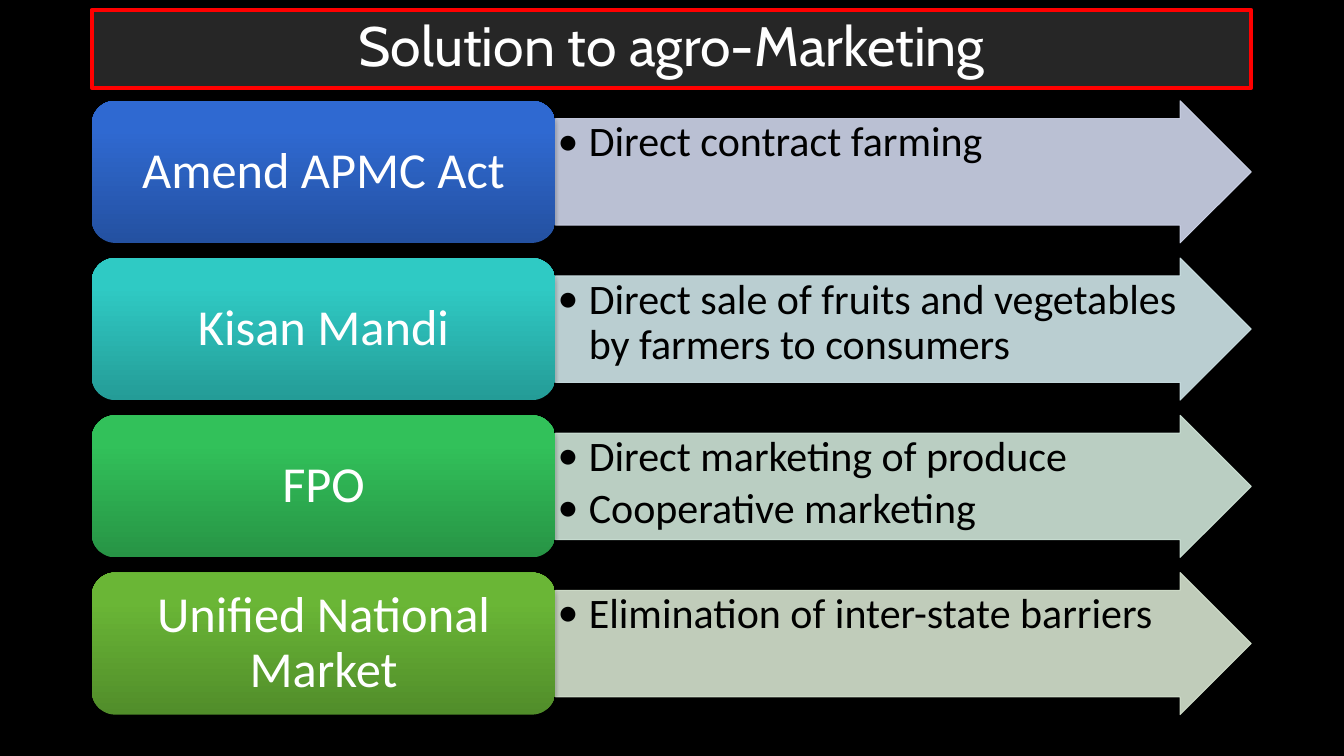
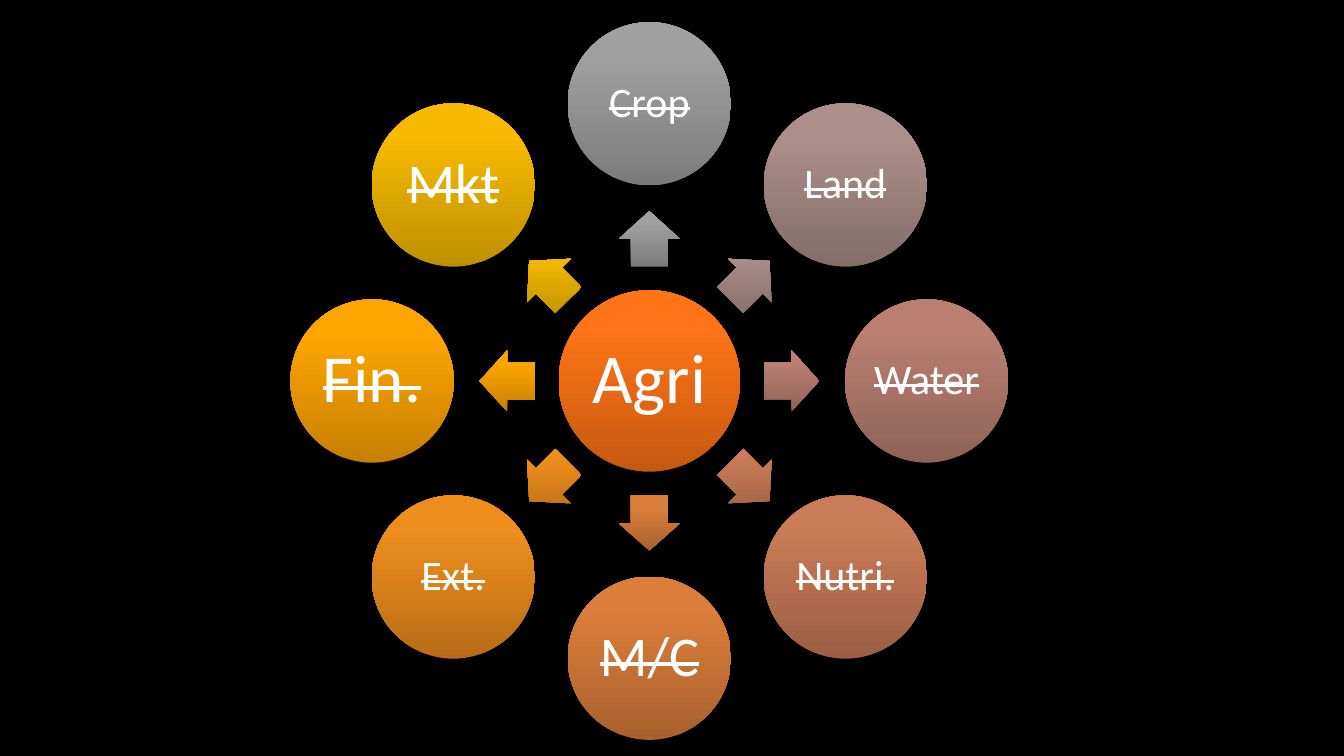
import math

import pptx
import pptx.dml.color
import pptx.enum.shapes
import pptx.enum.text
import pptx.oxml.ns
import pptx.util
from lxml import etree

Inches = pptx.util.Inches
Pt = pptx.util.Pt
SHAPES = pptx.enum.shapes.MSO_SHAPE
ALIGN = pptx.enum.text.PP_ALIGN
ANCHOR = pptx.enum.text.MSO_ANCHOR
qn = pptx.oxml.ns.qn

COLORS = {
    "background": "000000",
    "title_fill": "262626",
    "title_line": "FF0000",
    "light_text": "FFFFFF",
    "dark_text": "000000",
    "shadow": "000000",
    "blue_dark": "2451A1", "blue": "2F69D1", "blue_pale": "CFD5EA",
    "teal_dark": "249C97", "teal": "2FCAC4", "teal_pale": "CFE5E8",
    "green_dark": "279445", "green": "32C15A", "green_pale": "CFE5D8",
    "lime_dark": "518D2A", "lime": "6AB636", "lime_pale": "D5E3CF",
    "hub_dark": "C65910", "hub": "FF7416",
    "gray_dark": "7B7B7B", "gray": "A0A0A0",
    "mauve_dark": "846D6A", "mauve": "AC8E8A",
    "rose_dark": "8F6257", "rose": "BA7F71",
    "clay_dark": "9B5F43", "clay": "CA7B57",
    "copper_dark": "A9602D", "copper": "DB7E3B",
    "orange_dark": "B86C16", "orange": "EF8E1D",
    "amber_dark": "C68000", "amber": "FFA502",
    "gold_dark": "BE9000", "gold": "F7BA00",
}

SOLUTIONS = [
    ("Amend APMC Act", "blue", ["Direct contract farming"]),
    ("Kisan Mandi", "teal",
     ["Direct sale of fruits and vegetables by farmers to consumers"]),
    ("FPO", "green", ["Direct marketing of produce", "Cooperative marketing"]),
    ("Unified National Market", "lime", ["Elimination of inter-state barriers"]),
]

# Clockwise from the top: label, colour, text size
FACTORS = [
    ("Crop", "gray", 30), ("Land", "mauve", 30), ("Water", "rose", 30),
    ("Nutri.", "clay", 30), ("M/C", "copper", 40), ("Ext.", "orange", 30),
    ("Fin.", "amber", 48), ("Mkt", "gold", 40),
]


def rgb(name):
    return pptx.dml.color.RGBColor.from_string(COLORS[name])


def write(shape, paragraphs, size, color="light_text", font="Calibri",
          align=ALIGN.CENTER, anchor=ANCHOR.MIDDLE, insets=(0.1, 0.05, 0.1, 0.05),
          wrap=True, strike=False, bullet_indent=None, space_after=0):
    """Fill a shape with text; insets run left, top, right, bottom in inches."""
    frame = shape.text_frame
    frame.auto_size = pptx.enum.text.MSO_AUTO_SIZE.NONE
    frame.word_wrap = wrap
    frame.vertical_anchor = anchor
    (frame.margin_left, frame.margin_top,
     frame.margin_right, frame.margin_bottom) = map(Inches, insets)
    for index, text in enumerate(paragraphs):
        paragraph = frame.add_paragraph() if index else frame.paragraphs[0]
        paragraph.alignment = align
        paragraph.line_spacing = 0.9
        paragraph.space_before = Pt(0)
        paragraph.space_after = Pt(space_after)
        if bullet_indent:
            add_bullet(paragraph, bullet_indent, font)
        run = paragraph.add_run()
        run.text = text
        run.font.size = Pt(size)
        run.font.name = font
        run.font.color.rgb = rgb(color)
        if strike:
            run.font._element.set("strike", "sngStrike")


def add_bullet(paragraph, indent, font):
    properties = paragraph._p.get_or_add_pPr()
    properties.set("marL", str(Inches(indent)))
    properties.set("indent", str(-Inches(indent)))
    etree.SubElement(properties, qn("a:buFont"), typeface=font)
    etree.SubElement(properties, qn("a:buChar"), char="•")


def add_shadow(shape):
    effects = etree.SubElement(shape._element.spPr, qn("a:effectLst"))
    shadow = etree.SubElement(
        effects, qn("a:outerShdw"), blurRad=str(Pt(3.1)), dist=str(Pt(1.8)),
        dir="5400000", rotWithShape="0")
    tone = etree.SubElement(shadow, qn("a:srgbClr"), val=COLORS["shadow"])
    etree.SubElement(tone, qn("a:alpha"), val="35000")


def add_gradient_shape(slide, kind, center_x, center_y, width, height, color,
                       rotation=0):
    """Add a shape around its centre, light above and dark below at any rotation."""
    shape = slide.shapes.add_shape(
        kind, Inches(center_x - width / 2), Inches(center_y - height / 2),
        Inches(width), Inches(height))
    shape.rotation = rotation
    shape.fill.gradient()
    shape.fill.gradient_angle = (90 + rotation) % 360
    dark, light = shape.fill.gradient_stops
    dark.color.rgb, dark.position = rgb(color + "_dark"), 0
    light.color.rgb, light.position = rgb(color), 0.8
    shape.line.fill.background()
    add_shadow(shape)
    return shape


def add_pale_arrow(slide, left, top, width, height, color):
    arrow = slide.shapes.add_shape(
        SHAPES.RIGHT_ARROW, Inches(left), Inches(top), Inches(width), Inches(height))
    arrow.adjustments[0] = 0.75
    arrow.line.width = Pt(0.75)
    for fill in (arrow.fill, arrow.line.fill):
        fill.solid()
        fill.fore_color.rgb = rgb(color)
    for tone in list(arrow._element.spPr.iter(qn("a:srgbClr"))):
        etree.SubElement(tone, qn("a:alpha"), val="90000")
    add_shadow(arrow)
    return arrow


def add_title(slide, text):
    title = slide.shapes.title
    title.left, title.top = Inches(0.91), Inches(0.1)
    title.width, title.height = Inches(11.5), Inches(0.77)
    title.fill.solid()
    title.fill.fore_color.rgb = rgb("title_fill")
    title.line.color.rgb = rgb("title_line")
    title.line.width = Pt(3)
    write(title, [text], 39.6, font="Cabin")


def add_solution_row(slide, top, name, color, measures):
    left, name_width, arrow_width, height = 0.91, 4.6, 6.9, 1.41
    arrow = add_pale_arrow(slide, left + name_width, top, arrow_width, height,
                           color + "_pale")
    write(arrow, measures, 30, color="dark_text", align=ALIGN.LEFT,
          anchor=ANCHOR.TOP, insets=(0.02,) * 4,
          bullet_indent=0.31, space_after=4.5)
    box = add_gradient_shape(slide, SHAPES.ROUNDED_RECTANGLE, left + name_width / 2,
                             top + height / 2, name_width, height, color)
    write(box, [name], 36, insets=(0.15, 0.07, 0.15, 0.07))


def add_circle(slide, x, y, diameter, color, label, size, strike=False):
    circle = add_gradient_shape(slide, SHAPES.OVAL, x, y, diameter, diameter, color)
    write(circle, [label], size, insets=(0.04,) * 4, wrap=False, strike=strike)


def add_factor_wheel(slide, hub_x, hub_y):
    add_circle(slide, hub_x, hub_y, 1.8, "hub", "Agri", 50)
    step = 360 / len(FACTORS)
    for index, (label, color, size) in enumerate(FACTORS):
        angle = index * step - 90
        across, down = math.cos(math.radians(angle)), math.sin(math.radians(angle))
        arrow = add_gradient_shape(
            slide, SHAPES.RIGHT_ARROW, hub_x + 1.41 * across, hub_y + 1.41 * down,
            0.55, 0.61, color, rotation=angle % 360)
        arrow.adjustments[0] = 0.6
        add_circle(slide, hub_x + 2.75 * across, hub_y + 2.75 * down, 1.62, color,
                   label, size, strike=True)


def main():
    deck = pptx.Presentation()
    deck.slide_width, deck.slide_height = Inches(13.33), Inches(7.5)
    backdrop = deck.slide_master.background.fill
    backdrop.solid()
    backdrop.fore_color.rgb = rgb("background")

    marketing = deck.slides.add_slide(deck.slide_layouts.get_by_name("Title Only"))
    add_title(marketing, "Solution to agro-Marketing")
    for index, solution in enumerate(SOLUTIONS):
        add_solution_row(marketing, 1 + index * 1.56, *solution)

    wheel = deck.slides.add_slide(deck.slide_layouts.get_by_name("Blank"))
    add_factor_wheel(wheel, 6.44, 3.78)

    deck.save("out.pptx")


if __name__ == "__main__":
    main()
